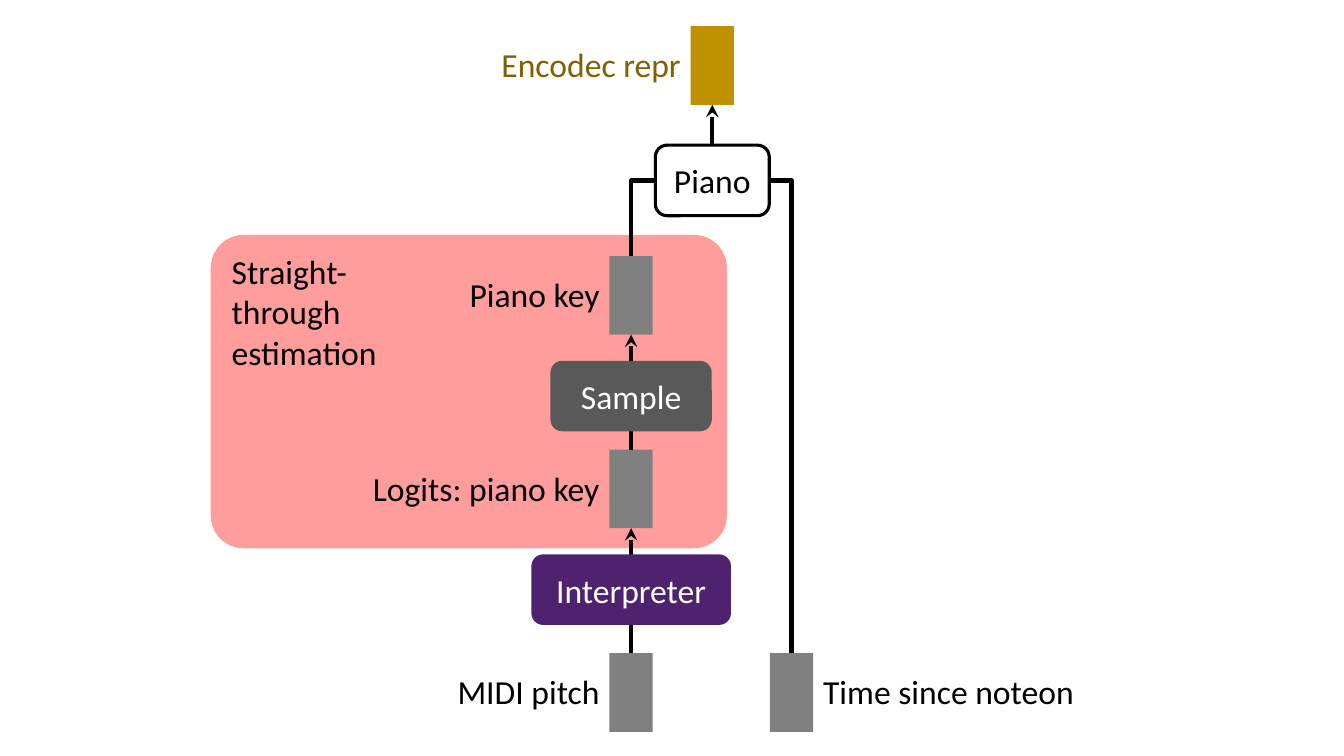
from pptx import Presentation
from pptx.dml.color import RGBColor
from pptx.enum import shapes, text
from pptx.oxml.ns import qn
from pptx.oxml.xmlchemy import OxmlElement
from pptx.util import Inches, Pt

INK = dict(black="000000", white="FFFFFF", pink="FF9D9D", grey="808080",
           dark="595959", purple="4F2270", gold="BF9000", brown="806000")
BAR_W, BAR_H, BOX_H = 0.43, 0.78, 0.7
LABEL_DROP, LABEL_H = 0.13, 0.5
MAIN, TIME, OUT = 6.26, 7.85, 7.065  # column centres

# name: centre, top, fill, label colour, label width, label side
BARS = {
    "Piano key": (MAIN, 2.54, "grey", "black", 1.62, "left"),
    "Time since noteon": (TIME, 6.48, "grey", "black", 2.89, "right"),
    "MIDI pitch": (MAIN, 6.48, "grey", "black", 1.76, "left"),
    "Logits: piano key": (MAIN, 4.46, "grey", "black", 2.64, "left"),
    "Encodec repr": (OUT, 0.26, "gold", "brown", 2.2, "left"),
}
# name, centre, top, width, fill, font colour
PIANO = ("Piano", OUT, 1.44, 1.13, "white", "black")
STEPS = [("Interpreter", MAIN, 5.5, 1.98, "purple", "white"),
         ("Sample", MAIN, 3.58, 1.6, "dark", "white")]
ARROWS = [("Logits: piano key", "Piano key"),
          ("MIDI pitch", "Logits: piano key"),
          ("Piano", "Encodec repr")]
ELBOWS = [("Time since noteon", 3), ("MIDI pitch", 1)]
ELBOWS = [("Time since noteon", 3), ("Piano key", 1)]  # bar, side of Piano
ZONE = "Straight-through estimation"

RECT, ROUND = shapes.MSO_SHAPE.RECTANGLE, shapes.MSO_SHAPE.ROUNDED_RECTANGLE
LEFT, MID, RIGHT = (text.PP_ALIGN.LEFT, text.PP_ALIGN.CENTER,
                    text.PP_ALIGN.RIGHT)

deck = Presentation()
deck.slide_width, deck.slide_height = Inches(13.33), Inches(7.5)
slide = deck.slides.add_slide(deck.slide_layouts[6])
nodes = {}


def color(name):
    return RGBColor.from_string(INK[name])


def block(kind, x, y, w, h, fill):
    shape = slide.shapes.add_shape(kind, *map(Inches, (x, y, w, h)))
    shape.shadow.inherit = False
    shape.fill.solid()
    shape.fill.fore_color.rgb = color(fill)
    shape.line.fill.background()
    return shape


def write(shape, words, ink, align):
    frame = shape.text_frame
    frame.word_wrap = True
    para = frame.paragraphs[0]
    para.text, para.alignment = words, align
    para.font.name, para.font.size = "Calibri", Pt(24)
    para.font.color.rgb = color(ink)


def label(words, x, y, w, h, ink, align):
    write(slide.shapes.add_textbox(*map(Inches, (x, y, w, h))),
          words, ink, align)


def box(name, mid, top, width, fill, ink):
    shape = block(ROUND, mid - width / 2, top, width, BOX_H, fill)
    shape.text_frame.vertical_anchor = text.MSO_ANCHOR.MIDDLE
    write(shape, name, ink, MID)
    nodes[name] = shape
    return shape


def link(kind, start, end, side):
    """Join the top of start to the given side of end."""
    line = slide.shapes.add_connector(kind, 0, 0, 0, 0)
    line.begin_connect(nodes[start], 0)
    line.end_connect(nodes[end], side)
    line.line.color.rgb, line.line.width = color("black"), Pt(3)
    line._element.spPr.append(OxmlElement("a:effectLst"))
    return line


def arrow(start, end):
    line = link(shapes.MSO_CONNECTOR.STRAIGHT, start, end, 2)
    tail = OxmlElement("a:tailEnd")
    tail.set("type", "stealth")
    line.line._get_or_add_ln().append(tail)


def elbow(start, side):
    """Run straight up from a bar, then turn once into Piano."""
    line = link(shapes.MSO_CONNECTOR.ELBOW, start, "Piano", side)
    x, y, w, h = line.left, line.top, line.width, line.height
    # A quarter turn swaps the sides of the frame around its centre.
    line.left, line.top = x + (w - h) // 2, y + (h - w) // 2
    line.width, line.height = h, w
    props = line._element.spPr
    frame = props.find(qn("a:xfrm"))
    for flip in ("flipH", "flipV"):
        frame.attrib.pop(flip, None)
    frame.set("rot", str(270 * 60000))
    if side == 3:
        frame.set("flipV", "1")
    props.find(qn("a:prstGeom")).set("prst", "bentConnector2")


zone = block(ROUND, 2.09, 2.33, 5.12, 3.11, "pink")
zone.adjustments[0] = 0.105
label(ZONE, 2.2, 2.44, 1.9, 1.31, "black", LEFT)

for name, (mid, top, fill, ink, width, side) in BARS.items():
    x = mid - BAR_W / 2
    nodes[name] = block(RECT, x, top, BAR_W, BAR_H, fill)
    left = side == "left"
    label(name, x - width if left else x + BAR_W, top + LABEL_DROP,
          width, LABEL_H, ink, RIGHT if left else LEFT)

piano = box(*PIANO)
piano.line.color.rgb, piano.line.width = color("black"), Pt(2.25)

for pair in ARROWS:
    arrow(*pair)
for turn in ELBOWS:
    elbow(*turn)
for step in STEPS:
    box(*step)

deck.save("out.pptx")
